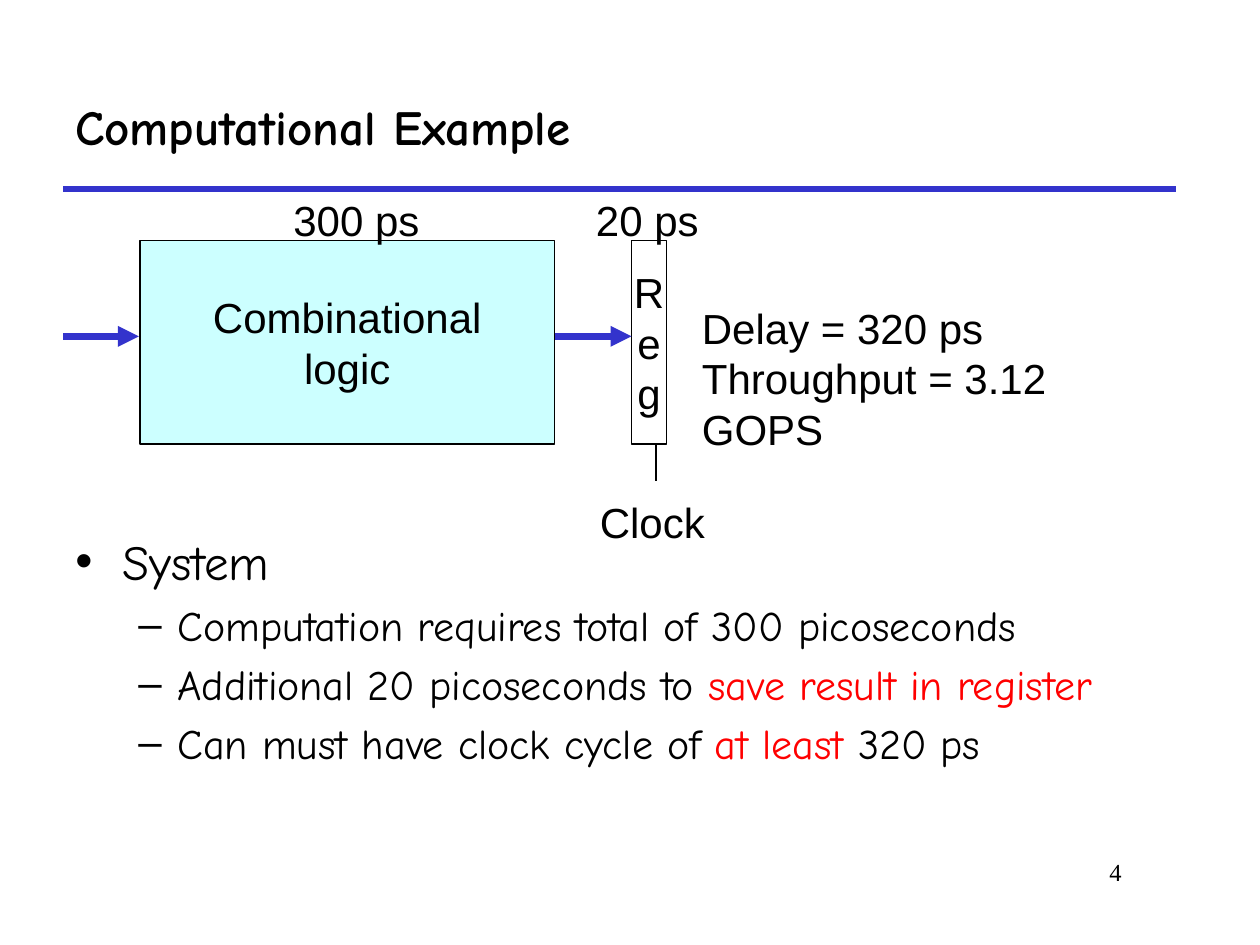
from lxml.etree import SubElement
from pptx import Presentation
from pptx.dml.color import RGBColor
from pptx.enum.shapes import MSO_CONNECTOR, MSO_SHAPE
from pptx.enum.text import MSO_ANCHOR, PP_ALIGN
from pptx.oxml.ns import qn
from pptx.util import Cm, Pt

BLACK, BLUE, RED = "000000", "3333CC", "FF0000"
BLOCK_TOP, BLOCK_HEIGHT = 4.85, 4.1
ARROW_Y = 6.78


def color(value):
    """Turn a hex string into a colour."""
    return RGBColor.from_string(value)


def add_run(paragraph, text, size, font, ink=BLACK, bold=False):
    """Append one formatted run to a paragraph."""
    run = paragraph.add_run()
    run.text = text
    run.font.size = Pt(size)
    run.font.name = font
    run.font.bold = bold
    run.font.color.rgb = color(ink)


def fill_frame(frame, lines, size, font, align, anchor, wrap, bold=False):
    """Write plain lines, one paragraph each."""
    frame.word_wrap = wrap
    frame.vertical_anchor = anchor
    for index, line in enumerate(lines):
        paragraph = frame.paragraphs[0] if index == 0 else frame.add_paragraph()
        paragraph.alignment = align
        add_run(paragraph, line, size, font, bold=bold)


def add_text(slide, box, lines, size=24, font="Arial", align=PP_ALIGN.CENTER,
             anchor=MSO_ANCHOR.TOP, wrap=False, bold=False):
    """Add a text box and return its frame."""
    frame = slide.shapes.add_textbox(*map(Cm, box)).text_frame
    fill_frame(frame, lines, size, font, align, anchor, wrap, bold)
    return frame


def add_block(slide, left, width, fill, lines):
    """Add an outlined circuit block with centred text."""
    shape = slide.shapes.add_shape(MSO_SHAPE.RECTANGLE, Cm(left), Cm(BLOCK_TOP),
                                   Cm(width), Cm(BLOCK_HEIGHT))
    shape.shadow.inherit = False
    shape.fill.solid()
    shape.fill.fore_color.rgb = color(fill)
    shape.line.color.rgb = color(BLACK)
    shape.line.width = Pt(1)
    fill_frame(shape.text_frame, lines, 24, "Arial", PP_ALIGN.CENTER,
               MSO_ANCHOR.MIDDLE, False)


def add_line(slide, start, end, ink, width, arrow=False):
    """Add a straight line, with an arrowhead at its end if asked."""
    connector = slide.shapes.add_connector(MSO_CONNECTOR.STRAIGHT,
                                           *map(Cm, start + end))
    connector.line.color.rgb = color(ink)
    connector.line.width = Pt(width)
    if arrow:
        SubElement(connector.line._get_or_add_ln(), qn("a:tailEnd"), type="triangle")
    SubElement(connector._element.spPr, qn("a:effectLst"))


def add_bullet(paragraph, level, pieces):
    """Format a bulleted paragraph and write its coloured pieces."""
    mark, margin, hanging, size = (("•", 0.95, 0.95, 28), ("–", 2.06, 0.79, 24))[level]
    paragraph.level = level
    properties = paragraph._p.get_or_add_pPr()
    properties.set("marL", str(Cm(margin)))
    properties.set("indent", str(-Cm(hanging)))
    SubElement(properties, qn("a:buFont"), typeface="Arial")
    SubElement(properties, qn("a:buChar"), char=mark)
    if level:
        paragraph.space_before = Pt(5)
    for text, ink in pieces:
        add_run(paragraph, text, size, "Comic Neue", ink)


def add_bullets(slide, box, items):
    """Add the bulleted list."""
    frame = slide.shapes.add_textbox(*map(Cm, box)).text_frame
    frame.word_wrap = True
    for index, (level, pieces) in enumerate(items):
        paragraph = frame.paragraphs[0] if index == 0 else frame.add_paragraph()
        add_bullet(paragraph, level, pieces)


def add_circuit(slide):
    """Draw the logic block, the register and their labels."""
    add_block(slide, 2.82, 8.36, "CCFFFF", ["Combinational", "logic"])
    add_block(slide, 12.73, 0.71, "FFFFFF", "Reg")
    add_text(slide, (5.56, 3.8, 3.25, 1.27), ["300 ps"])
    add_text(slide, (11.55, 3.8, 3, 1.27), ["20 ps"])
    add_text(slide, (11.65, 9.88, 3, 1.27), ["Clock"])
    for start, end in ((1.27, 2.8), (11.18, 12.73)):
        add_line(slide, (start, ARROW_Y), (end, ARROW_Y), BLUE, 4, arrow=True)
    add_line(slide, (13.23, BLOCK_TOP + BLOCK_HEIGHT), (13.23, 9.7), BLACK, 1)
    timing = add_text(slide, (13.9, 5.97, 10.13, 2.29),
                      ["Delay = 320 ps", "Throughput = 3.12 GOPS"],
                      align=PP_ALIGN.LEFT, wrap=True)
    timing.margin_right = Cm(1)


def main():
    """Build and save the slide."""
    presentation = Presentation()
    presentation.slide_width, presentation.slide_height = Cm(25.4), Cm(19.05)
    slide = presentation.slides.add_slide(presentation.slide_layouts[6])
    add_line(slide, (1.27, 3.81), (23.7, 3.81), BLUE, 3)
    add_text(slide, (19.25, 17.15, 3.61, 1.27), ["4"], 14, "Times New Roman",
             PP_ALIGN.RIGHT, wrap=True)
    add_text(slide, (1.27, 1.27, 22.43, 2.54), ["Computational Example"], 28,
             "Comic Neue", PP_ALIGN.LEFT, MSO_ANCHOR.MIDDLE, True, True)
    add_bullets(slide, (1.27, 10.59, 23.06, 6.71), [
        (0, [("System", BLACK)]),
        (1, [("Computation requires total of 300 picoseconds", BLACK)]),
        (1, [("Additional 20 picoseconds to ", BLACK),
             ("save result in register", RED)]),
        (1, [("Can must have clock cycle of ", BLACK), ("at least", RED),
             (" 320 ps", BLACK)]),
    ])
    add_circuit(slide)
    presentation.save("out.pptx")


if __name__ == "__main__":
    main()
